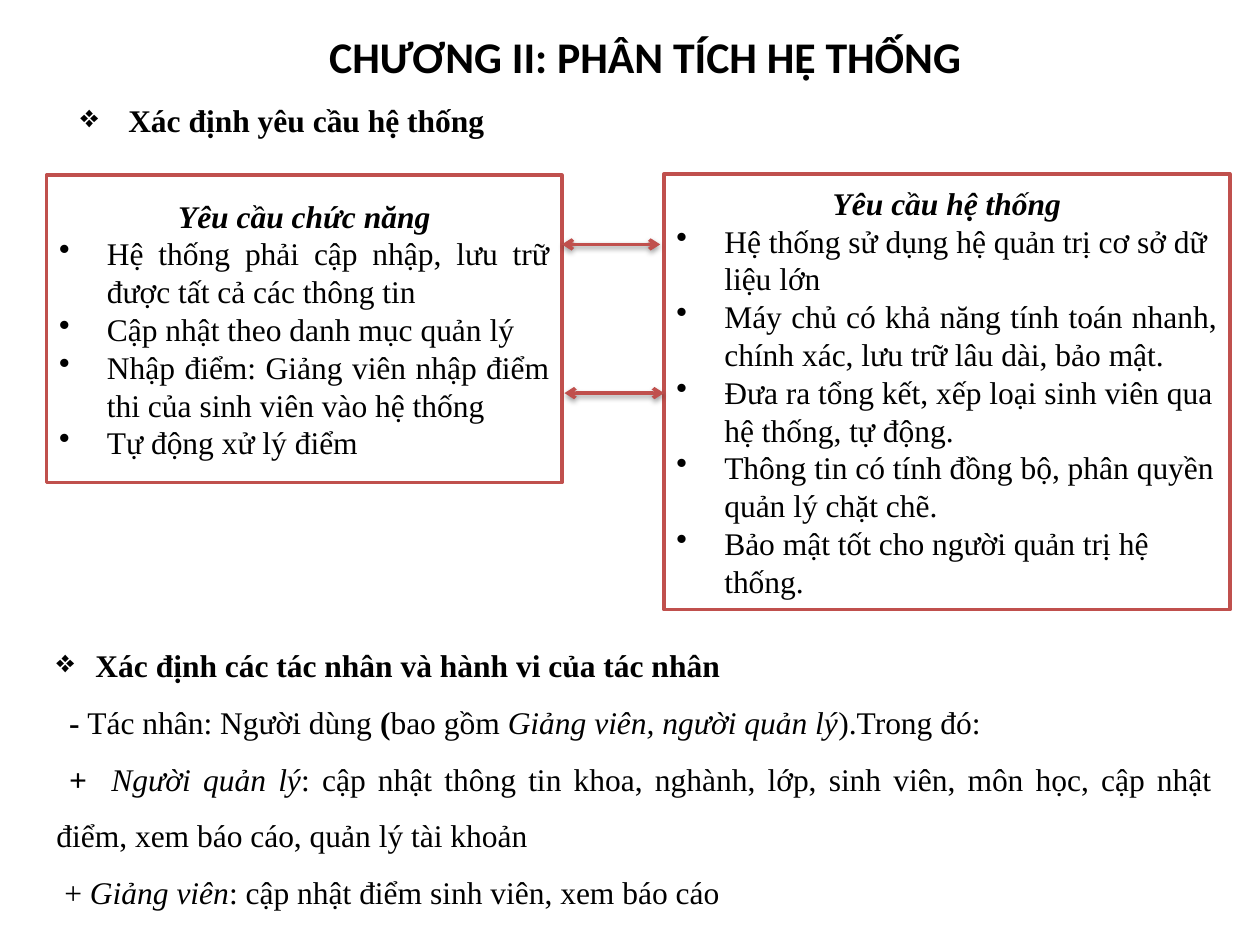
from dataclasses import dataclass

from lxml import etree
from pptx import Presentation, util as u
from pptx.dml.color import RGBColor
from pptx.enum import shapes, text
from pptx.oxml import ns

COLORS = {"ink": "000000", "paper": "FFFFFF", "red": "C0504D"}
SERIF = "Times New Roman"
LEFT, CENTER, JUSTIFY = text.PP_ALIGN.LEFT, text.PP_ALIGN.CENTER, text.PP_ALIGN.JUSTIFY
DIAMOND, DOT = "❖", "•"


@dataclass
class Span:
    words: str
    bold: bool = False
    italic: bool = False


@dataclass
class Para:
    spans: list[Span]
    align: text.PP_ALIGN = LEFT
    bullet: str = ""
    indent: float = 0
    spacing: float = 1
    before: float = 0
    tab: float = 0


@dataclass
class Panel:
    place: tuple[float, float, float, float]
    heading: str
    items: list[tuple[str, text.PP_ALIGN]]


def color(name: str) -> RGBColor:
    return RGBColor.from_string(COLORS[name])


def child(parent, tag: str, **attributes):
    return etree.SubElement(parent, ns.qn(tag), {k: str(v) for k, v in attributes.items()})


def write(frame, paras: list[Para], font: str = SERIF, size: float = 18) -> None:
    frame.word_wrap = True
    for index, item in enumerate(paras):
        para = frame.paragraphs[0] if index == 0 else frame.add_paragraph()
        para.alignment = item.align
        para.line_spacing = item.spacing
        para.space_before = u.Pt(item.before)
        properties = para._p.get_or_add_pPr()
        if item.bullet:
            properties.set("marL", str(u.Inches(item.indent)))
            properties.set("indent", str(-u.Inches(item.indent)))
            child(properties, "a:buChar", char=item.bullet)
        if item.tab:
            tabs = child(properties, "a:tabLst")
            child(tabs, "a:tab", pos=u.Inches(item.tab), algn="l")
        for span in item.spans:
            run = para.add_run()
            run.text = span.words
            run.font.name, run.font.size = font, u.Pt(size)
            run.font.bold, run.font.italic = span.bold, span.italic
            run.font.color.rgb = color("ink")


def add_text(page, place: tuple[float, float, float, float], paras: list[Para], **style):
    box = page.shapes.add_textbox(*map(u.Inches, place))
    write(box.text_frame, paras, **style)
    return box


def add_panel(page, panel: Panel) -> None:
    box = page.shapes.add_shape(shapes.MSO_SHAPE.RECTANGLE, *map(u.Inches, panel.place))
    box.shadow.inherit = False
    box.fill.solid()
    box.fill.fore_color.rgb = color("paper")
    box.line.color.rgb = color("red")
    box.line.width = u.Pt(2)
    box.text_frame.vertical_anchor = text.MSO_ANCHOR.MIDDLE
    heading = Para([Span(panel.heading, True, True)], CENTER)
    items = [Para([Span(words)], align, DOT, 0.38) for words, align in panel.items]
    write(box.text_frame, [heading, *items])


def add_double_arrow(page, left: float, right: float, y: float) -> None:
    arrow = page.shapes.add_connector(
        shapes.MSO_CONNECTOR.STRAIGHT, *map(u.Inches, (left, y, right, y)))
    arrow.line.color.rgb = color("red")
    arrow.line.width = u.Pt(2)
    line = arrow.line._get_or_add_ln()
    child(line, "a:headEnd", type="arrow")
    child(line, "a:tailEnd", type="arrow")
    effects = child(arrow._element.spPr, "a:effectLst")
    shadow = child(effects, "a:outerShdw", blurRad=u.Pt(3.1), dist=u.Pt(1.6),
                   dir=90 * 60000, rotWithShape=0)
    child(child(shadow, "a:srgbClr", val=COLORS["ink"]), "a:alpha", val=38000)


PANELS = [
    Panel((0.37, 1.39, 4.09, 2.44), "Yêu cầu chức năng", [
        ("Hệ thống phải cập nhập, lưu trữ được tất cả các thông tin", JUSTIFY),
        ("Cập nhật theo danh mục quản lý", JUSTIFY),
        ("Nhập điểm: Giảng viên nhập điểm thi của sinh viên vào hệ thống", JUSTIFY),
        ("Tự động xử lý điểm", JUSTIFY),
    ]),
    Panel((5.27, 1.38, 4.49, 3.46), "Yêu cầu hệ thống", [
        ("Hệ thống sử dụng hệ quản trị cơ sở dữ liệu lớn", LEFT),
        ("Máy chủ có khả năng tính toán nhanh, chính xác, lưu trữ lâu dài, bảo mật.", JUSTIFY),
        ("Đưa ra tổng kết, xếp loại sinh viên qua hệ thống, tự động.", LEFT),
        ("Thông tin có tính đồng bộ, phân quyền quản lý chặt chẽ.", LEFT),
        ("Bảo mật tốt cho người quản trị hệ thống.", LEFT),
    ]),
]

ACTORS = [
    Para([Span("Xác định các tác nhân và hành vi của tác nhân", True)],
         bullet=DIAMOND, indent=0.31, spacing=1.5, tab=0.1),
    Para([Span("\t- ", True), Span("Tác nhân: Người dùng "), Span("(", True), Span("bao gồm "),
          Span("Giảng viên, người quản lý", italic=True), Span(").Trong đó:")],
         spacing=1.5, tab=0.1),
    Para([Span("\t+  ", True), Span("Người quản lý", italic=True),
          Span(": cập nhật thông tin khoa, nghành, lớp, sinh viên, môn học, "
               "cập nhật điểm, xem báo cáo, quản lý tài khoản")],
         JUSTIFY, spacing=1.5, tab=0.1),
    Para([Span(" + "), Span("Giảng viên", italic=True),
          Span(": cập nhật điểm sinh viên, xem báo cáo")],
         JUSTIFY, spacing=1.5, tab=0.1),
]


def main() -> None:
    deck = Presentation()
    deck.slide_width, deck.slide_height = u.Inches(10), u.Inches(7.5)
    page = deck.slides.add_slide(deck.slide_layouts[6])

    title = add_text(page, (0.24, 0.13, 9.76, 0.63),
                     [Para([Span("CHƯƠNG II: PHÂN TÍCH HỆ THỐNG", True)], CENTER)],
                     font="Calibri", size=25)
    title.text_frame.vertical_anchor = text.MSO_ANCHOR.MIDDLE
    add_text(page, (0.54, 0.6, 9, 6.69),
             [Para([Span("Xác định yêu cầu hệ thống", True)], bullet=DIAMOND,
                   indent=0.38, spacing=1.5, before=3.6, tab=0.1)])
    for panel in PANELS:
        add_panel(page, panel)
    add_double_arrow(page, 4.46, 5.24, 1.94)
    add_double_arrow(page, 4.48, 5.27, 3.12)
    actors = add_text(page, (0.35, 4.93, 9.37, 2.37), ACTORS)
    actors.text_frame.auto_size = text.MSO_AUTO_SIZE.SHAPE_TO_FIT_TEXT

    deck.save("out.pptx")


if __name__ == "__main__":
    main()
